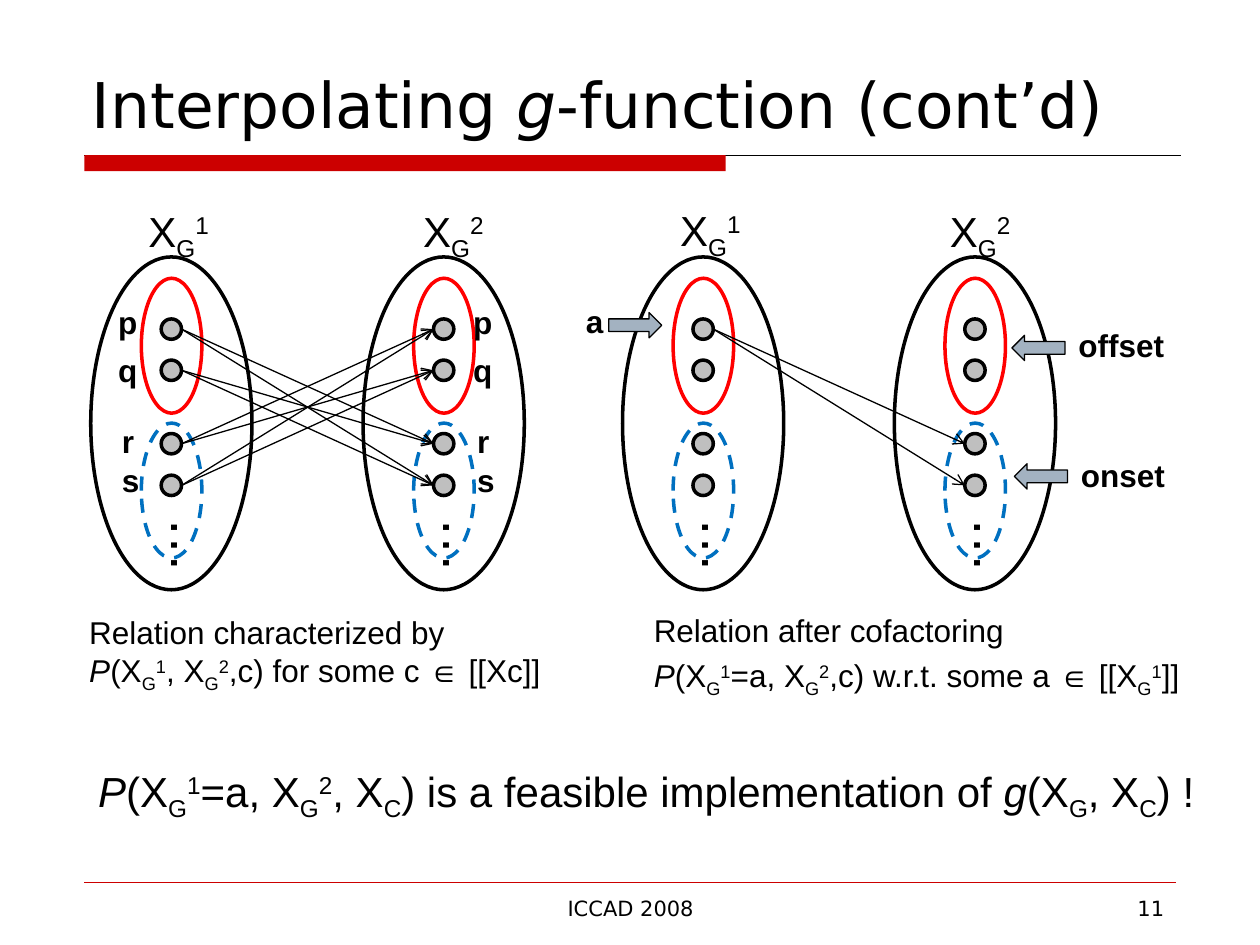
from dataclasses import dataclass
from itertools import product
from typing import NamedTuple, Optional

from lxml import etree
from pptx import Presentation
from pptx import util as u
from pptx.dml.color import RGBColor
from pptx.enum import dml, shapes, text
from pptx.oxml import ns


@dataclass(frozen=True)
class Theme:
    black: str = "000000"
    accent: str = "CC0000"
    offset: str = "FF0000"
    onset: str = "0070C0"
    dot: str = "BFBFBF"
    arrow: str = "A3B2C1"
    title_font: str = "DejaVu Sans"
    body_font: str = "Arial"
    title: int = 36
    dots: int = 32
    large: int = 24
    body: int = 18
    footer: int = 12
    thick: float = 2
    thin: float = 0.75
    hairline: float = 0.25


class Box(NamedTuple):
    left: float
    top: float
    width: float
    height: float

    def lengths(self) -> list:
        return [u.Cm(value) for value in self]


class Span(NamedTuple):
    text: str
    baseline: int = 0
    italic: bool = False


class VariableSet(NamedTuple):
    left: float
    index: str
    label_left: float
    label_top: float


class Label(NamedTuple):
    text: str
    box: Box


@dataclass(frozen=True)
class TextStyle:
    size: float
    font: str = "Arial"
    bold: bool = False
    wrap: bool = True
    grow: bool = True
    align: text.PP_ALIGN = text.PP_ALIGN.LEFT
    line_spacing: Optional[float] = None
    space_before: float = 0
    vertical: bool = False


THEME = Theme()
SUB_G, SUB_C = Span("G", -25000), Span("C", -25000)
SUP_1, SUP_2 = Span("1", 30000), Span("2", 30000)
P_OF_X1 = [Span("P", italic=True), Span("(X"), SUB_G, SUP_1]

SET_TOP = 5.18
DOT_SIZE = 0.41
DOT_INSET = 1.42
DOT_TOPS = (6.43, 7.26, 8.74, 9.58)
SETS = (
    VariableSet(1.83, "1", 2.74, 4.01),
    VariableSet(7.32, "2", 8.28, 4.01),
    VariableSet(12.55, "1", 13.46, 3.99),
    VariableSet(18.03, "2", 18.9, 4.01),
)
ALL_EDGES = [*product((0, 1), (2, 3)), *product((2, 3), (0, 1))]
COFACTOR_EDGES = [(0, 2), (0, 3)]

POINT_LABELS = (
    Label("p", Box(2.13, 5.99, 0.89, 1.02)),
    Label("q", Box(2.13, 6.96, 0.89, 1.02)),
    Label("r", Box(2.21, 8.38, 0.74, 1.02)),
    Label("s", Box(2.21, 9.17, 0.84, 1.02)),
)
RIGHT_LABEL_SHIFT = 7.16
CALLOUTS = (
    (Label("onset", Box(21.54, 9.07, 2.36, 1.02)), Box(20.45, 9.35, 1.07, 0.51), 0),
    (Label("offset", Box(21.49, 6.45, 2.36, 1.02)), Box(20.4, 6.76, 1.07, 0.51), 0),
    (Label("a", Box(11.56, 5.97, 1.17, 1.02)), Box(12.27, 6.3, 1.07, 0.51), 180),
)


def color(value: str) -> RGBColor:
    return RGBColor.from_string(value)


def write_paragraph(paragraph, spans: list, style: TextStyle) -> None:
    paragraph.alignment = style.align
    if style.line_spacing:
        paragraph.line_spacing = style.line_spacing
    for span in spans:
        run = paragraph.add_run()
        run.text = span.text
        run.font.name = style.font
        run.font.size = u.Pt(style.size)
        run.font.bold = style.bold
        run.font.italic = span.italic
        run.font.color.rgb = color(THEME.black)
        if span.baseline:
            run._r.get_or_add_rPr().set("baseline", str(span.baseline))


def add_text(slide, box: Box, paragraphs: list, style: TextStyle) -> None:
    frame = slide.shapes.add_textbox(*box.lengths()).text_frame
    frame.word_wrap = style.wrap
    frame.auto_size = (
        text.MSO_AUTO_SIZE.SHAPE_TO_FIT_TEXT if style.grow else text.MSO_AUTO_SIZE.NONE
    )
    if style.vertical:
        frame._txBody.bodyPr.set("vert", "eaVert")
        frame.margin_left = frame.margin_right = u.Cm(0.13)
        frame.margin_top = frame.margin_bottom = u.Cm(0.25)
    for number, spans in enumerate(paragraphs):
        paragraph = frame.add_paragraph() if number else frame.paragraphs[0]
        if number:
            paragraph.space_before = u.Pt(style.space_before)
        write_paragraph(paragraph, spans, style)


def add_shape(slide, kind, box: Box, fill: Optional[str], line: Optional[str],
              width: float = THEME.thick, dashed: bool = False):
    shape = slide.shapes.add_shape(kind, *box.lengths())
    shape.shadow.inherit = False
    if fill:
        shape.fill.solid()
        shape.fill.fore_color.rgb = color(fill)
    else:
        shape.fill.background()
    if line:
        shape.line.color.rgb = color(line)
        shape.line.width = u.Pt(width)
    else:
        shape.line.fill.background()
    if dashed:
        shape.line.dash_style = dml.MSO_LINE.DASH
    return shape


def add_line(slide, start: tuple, end: tuple, line: str, width: float,
             arrow: bool = False) -> None:
    connector = slide.shapes.add_connector(
        shapes.MSO_CONNECTOR.STRAIGHT, *[u.Cm(value) for value in (*start, *end)])
    connector.line.color.rgb = color(line)
    connector.line.width = u.Pt(width)
    if arrow:
        etree.SubElement(connector.line._get_or_add_ln(), ns.qn("a:tailEnd"), type="arrow")
    etree.SubElement(connector._element.spPr, ns.qn("a:effectLst"))


def draw_set(slide, item: VariableSet) -> None:
    ellipse = shapes.MSO_SHAPE.OVAL
    for top in DOT_TOPS:
        add_shape(slide, ellipse, Box(item.left + DOT_INSET, top, DOT_SIZE, DOT_SIZE),
                  THEME.dot, THEME.black)
    add_text(slide, Box(item.left + 1.03, 10.19, 1.85, 1.24), [[Span("…")]],
             TextStyle(THEME.dots, vertical=True))
    for top, line, dashed in ((5.61, THEME.offset, False), (8.53, THEME.onset, True)):
        add_shape(slide, ellipse, Box(item.left + 1.02, top, 1.22, 2.72), None, line,
                  dashed=dashed)
    add_shape(slide, ellipse, Box(item.left, SET_TOP, 3.25, 6.71), None, THEME.black)
    add_text(slide, Box(item.label_left, item.label_top, 1.73, 1.42),
             [[Span("X"), SUB_G, Span(item.index, 30000)]],
             TextStyle(THEME.large, wrap=False))


def draw_edges(slide, source: VariableSet, target: VariableSet, edges: list) -> None:
    for begin, end in edges:
        add_line(slide,
                 (source.left + DOT_INSET + DOT_SIZE, DOT_TOPS[begin] + DOT_SIZE / 2),
                 (target.left + DOT_INSET, DOT_TOPS[end] + DOT_SIZE / 2),
                 THEME.black, THEME.thin, arrow=True)


def draw_title(slide) -> None:
    title = slide.shapes.title
    title.left, title.top, title.width, title.height = Box(1.6, 0, 23.29, 3).lengths()
    title.text_frame.vertical_anchor = text.MSO_ANCHOR.BOTTOM
    title.text_frame.auto_size = text.MSO_AUTO_SIZE.NONE
    write_paragraph(
        title.text_frame.paragraphs[0],
        [Span("Interpolating "), Span("g", italic=True), Span("-function (cont’d)")],
        TextStyle(THEME.title, THEME.title_font, line_spacing=0.9))


def draw_frame(slide) -> None:
    add_line(slide, (1.7, 3.13), (23.8, 3.13), THEME.black, THEME.thin)
    add_shape(slide, shapes.MSO_SHAPE.RECTANGLE, Box(1.7, 3.13, 12.93, 0.32),
              THEME.accent, None)
    add_line(slide, (1.7, 17.78), (23.7, 17.78), THEME.accent, THEME.hairline)
    for words, box, align in (
        ("ICCAD 2008", Box(8.69, 17.93, 8.05, 0.74), text.PP_ALIGN.CENTER),
        ("11", Box(18.21, 17.93, 5.51, 0.74), text.PP_ALIGN.RIGHT),
    ):
        add_text(slide, box, [[Span(words)]],
                 TextStyle(THEME.footer, THEME.title_font, grow=False, align=align))


def draw_labels(slide) -> None:
    point_style = TextStyle(THEME.body, bold=True, wrap=False)
    for label, shift in product(POINT_LABELS, (0, RIGHT_LABEL_SHIFT)):
        box = label.box._replace(left=label.box.left + shift)
        add_text(slide, box, [[Span(label.text)]], point_style)
    for label, arrow_box, rotation in CALLOUTS:
        add_text(slide, label.box, [[Span(label.text)]], TextStyle(THEME.body, bold=True))
        arrow = add_shape(slide, shapes.MSO_SHAPE.LEFT_ARROW, arrow_box, THEME.arrow,
                          THEME.black, THEME.thin)
        arrow.rotation = rotation


def draw_statements(slide) -> None:
    add_text(slide, Box(1.55, 12.24, 10.21, 1.88), [
        [Span("Relation characterized by")],
        [*P_OF_X1, Span(", X"), SUB_G, SUP_2, Span(",c) for some c ∈ [[Xc]]")],
    ], TextStyle(THEME.body))
    add_text(slide, Box(12.93, 12.47, 11.48, 1.63), [
        [Span("Relation after cofactoring")],
        [*P_OF_X1, Span("=a, X"), SUB_G, SUP_2, Span(",c) w.r.t. some a ∈ [[X"),
         SUB_G, SUP_1, Span("]]")],
    ], TextStyle(THEME.body, line_spacing=0.6, space_before=11.2))
    add_text(slide, Box(1.73, 15.32, 22.61, 1.3), [
        [*P_OF_X1, Span("=a, X"), SUB_G, SUP_2, Span(", X"), SUB_C,
         Span(") is a feasible implementation of "), Span("g", italic=True),
         Span("(X"), SUB_G, Span(", X"), SUB_C, Span(") !")],
    ], TextStyle(THEME.large, wrap=False, line_spacing=0.9))


def main() -> None:
    presentation = Presentation()
    presentation.slide_width, presentation.slide_height = u.Cm(25.4), u.Cm(19.05)
    slide = presentation.slides.add_slide(presentation.slide_layouts[5])
    draw_frame(slide)
    draw_title(slide)
    for item in SETS:
        draw_set(slide, item)
    draw_edges(slide, SETS[0], SETS[1], ALL_EDGES)
    draw_edges(slide, SETS[2], SETS[3], COFACTOR_EDGES)
    draw_labels(slide)
    draw_statements(slide)
    presentation.save("out.pptx")


if __name__ == "__main__":
    main()
